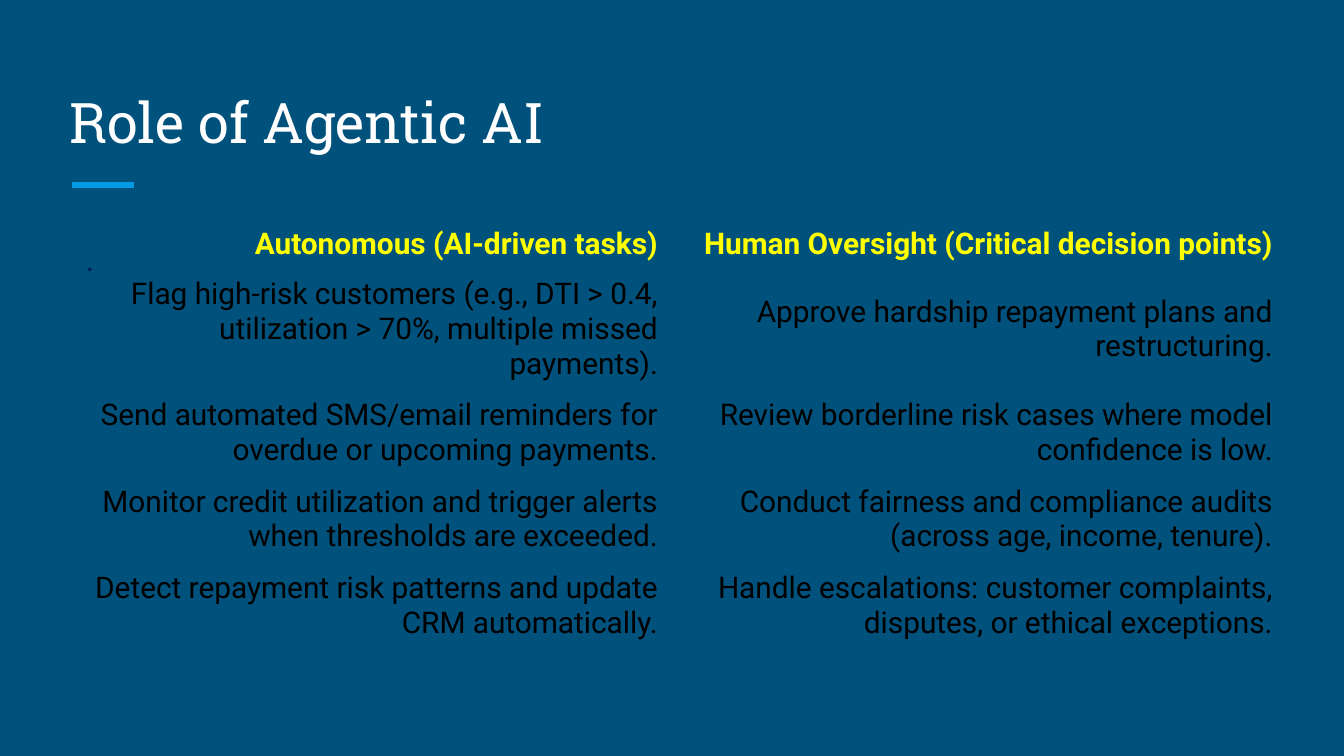
from dataclasses import dataclass

from pptx import Presentation
from pptx import util as u
from pptx.dml.color import RGBColor
from pptx.enum import shapes, text
from pptx.oxml import ns
from lxml import etree


@dataclass(frozen=True)
class Theme:
    background: str = "00517C"
    accent: str = "039BE5"
    title: str = "FFFFFF"
    header: str = "FFFF00"
    body: str = "000000"
    bullet: str = "002060"
    title_font: str = "Roboto Slab"
    body_font: str = "Roboto"
    title_size: int = 30
    bullet_size: int = 18
    table_size: int = 16


THEME = Theme()
NO_STYLE_NO_GRID = "{2D5ABB26-0587-4C30-8999-92F81FD0307C}"
LEFT, WIDTH = 1.07, 23.24
BODY_TOP = 4.14
INSET = 0.25
ROW_HEIGHTS = (0.94, 2.29, 1.63, 1.63, 1.63)

TASKS = (
    ("Autonomous (AI-driven tasks)",
     "Human Oversight (Critical decision points)"),
    ("Flag high-risk customers (e.g., DTI > 0.4, utilization > 70%, multiple missed payments).",
     "Approve hardship repayment plans and restructuring."),
    ("Send automated SMS/email reminders for overdue or upcoming payments.",
     "Review borderline risk cases where model confidence is low."),
    ("Monitor credit utilization and trigger alerts when thresholds are exceeded.",
     "Conduct fairness and compliance audits (across age, income, tenure)."),
    ("Detect repayment risk patterns and update CRM automatically.",
     "Handle escalations: customer complaints, disputes, or ethical exceptions."),
)


def apply(target, values):
    for name, value in values.items():
        setattr(target, name, value)


def write(frame, words, font, size, color, bold=False, align=text.PP_ALIGN.LEFT):
    """Put one formatted paragraph in a text frame."""
    paragraph = frame.paragraphs[0]
    paragraph.alignment = align
    run = paragraph.add_run()
    run.text = words
    apply(run.font, {"name": font, "size": u.Pt(size), "bold": bold})
    run.font.color.rgb = RGBColor.from_string(color)
    return paragraph


def format_frame(frame, anchor):
    apply(frame, {"word_wrap": True, "auto_size": text.MSO_AUTO_SIZE.NONE,
                  "vertical_anchor": anchor})
    sides = ("left", "right", "top", "bottom")
    apply(frame, {f"margin_{side}": u.Cm(INSET) for side in sides})


def add_title(slide, words):
    title = slide.shapes.title
    apply(title, {"left": u.Cm(LEFT), "top": u.Cm(1.27),
                  "width": u.Cm(WIDTH), "height": u.Cm(1.9)})
    format_frame(title.text_frame, text.MSO_ANCHOR.BOTTOM)
    write(title.text_frame, words, THEME.title_font, THEME.title_size, THEME.title)


def add_accent_line(slide):
    line = slide.shapes.add_connector(
        shapes.MSO_CONNECTOR.STRAIGHT, u.Cm(1.36), u.Cm(3.5), u.Cm(2.54), u.Cm(3.5))
    line.line.color.rgb = RGBColor.from_string(THEME.accent)
    line.line.width = u.Pt(3)
    etree.SubElement(line._element.spPr, ns.qn("a:effectLst"))


def add_body_text(slide, words):
    box = slide.shapes.add_textbox(u.Cm(LEFT), u.Cm(BODY_TOP), u.Cm(WIDTH), u.Cm(8.56))
    format_frame(box.text_frame, text.MSO_ANCHOR.TOP)
    paragraph = write(box.text_frame, words, THEME.body_font,
                      THEME.bullet_size, THEME.bullet)
    paragraph.line_spacing = 1.15
    properties = paragraph._p.get_or_add_pPr()
    properties.set("marL", str(u.Cm(1.27)))
    properties.set("indent", str(-u.Cm(0.97)))


def add_task_table(slide, rows):
    columns = len(rows[0])
    table = slide.shapes.add_table(
        len(rows), columns, u.Cm(LEFT), u.Cm(BODY_TOP),
        u.Cm(WIDTH), u.Cm(sum(ROW_HEIGHTS))).table
    apply(table, {"first_row": False, "horz_banding": False})
    table._tbl.tblPr.find(ns.qn("a:tableStyleId")).text = NO_STYLE_NO_GRID
    for column in table.columns:
        column.width = u.Cm(WIDTH / columns)
    for index, (row, height, entries) in enumerate(zip(table.rows, ROW_HEIGHTS, rows)):
        row.height = u.Cm(height)
        is_header = index == 0
        for cell, words in zip(row.cells, entries):
            cell.fill.background()
            cell.vertical_anchor = text.MSO_ANCHOR.MIDDLE
            write(cell.text_frame, words, THEME.body_font, THEME.table_size,
                  THEME.header if is_header else THEME.body,
                  bold=is_header, align=text.PP_ALIGN.RIGHT)


def main():
    presentation = Presentation()
    apply(presentation, {"slide_width": u.Cm(25.4), "slide_height": u.Cm(14.29)})
    slide = presentation.slides.add_slide(
        presentation.slide_layouts.get_by_name("Title Only"))
    fill = slide.background.fill
    fill.solid()
    fill.fore_color.rgb = RGBColor.from_string(THEME.background)

    # Heading
    add_accent_line(slide)
    add_title(slide, "Role of Agentic AI")

    # Content
    add_body_text(slide, ".")
    add_task_table(slide, TASKS)

    presentation.save("out.pptx")


if __name__ == "__main__":
    main()
